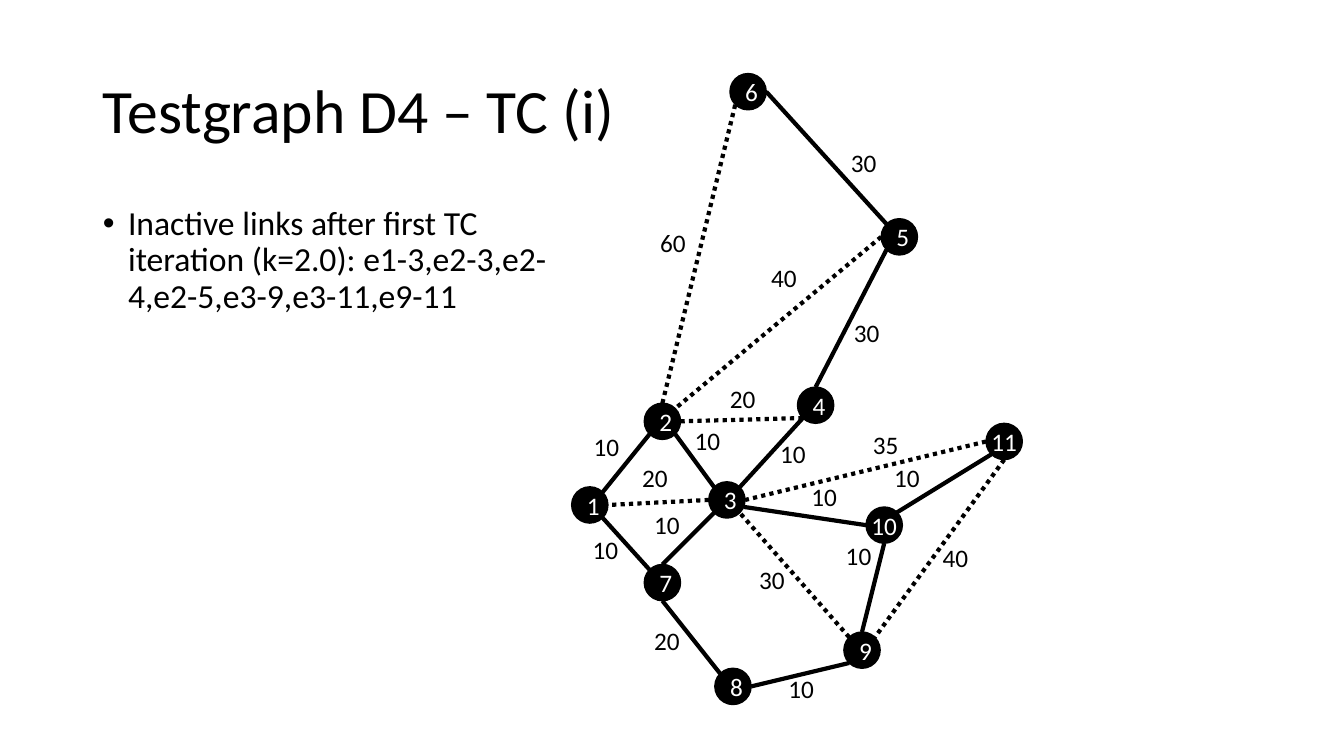
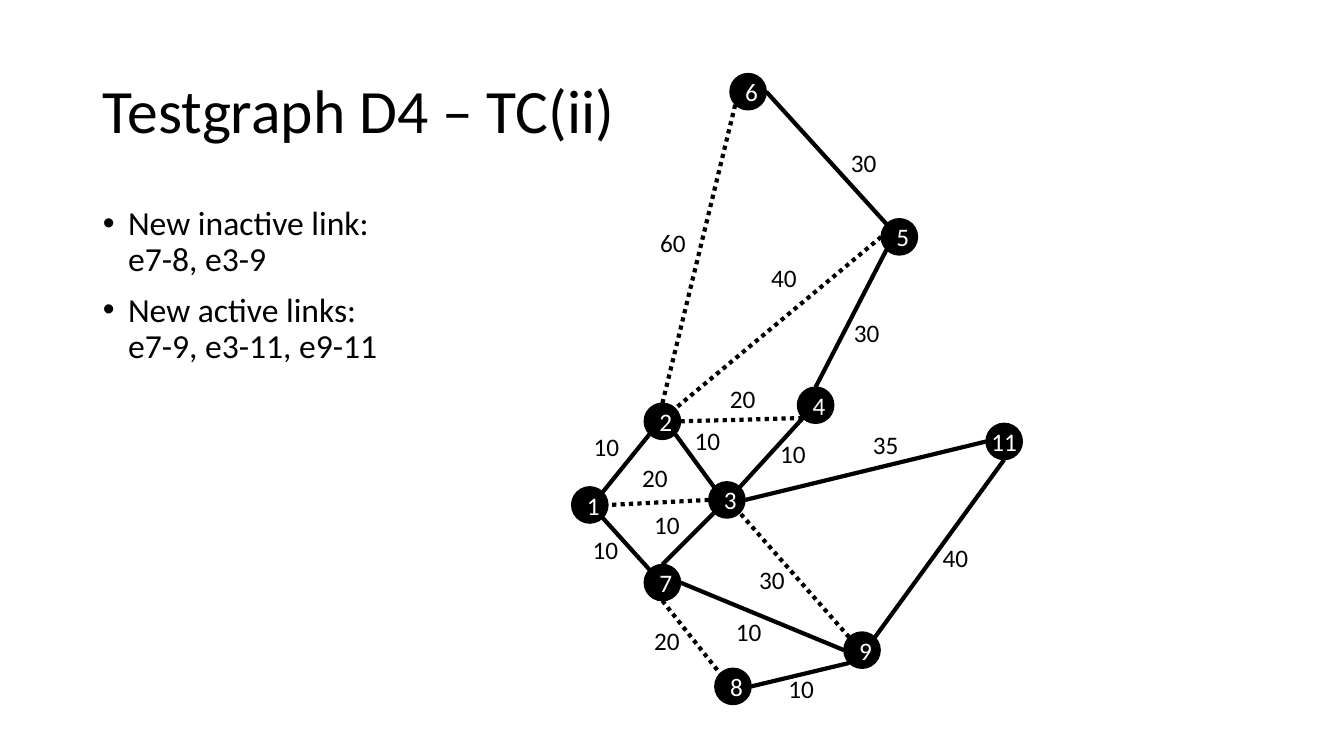
from math import cos, radians, sin

from lxml import etree
from pptx import Presentation
from pptx.dml.color import RGBColor
from pptx.enum.dml import MSO_LINE
from pptx.enum.shapes import MSO_CONNECTOR, MSO_SHAPE
from pptx.enum.text import MSO_ANCHOR, MSO_AUTO_SIZE, PP_ALIGN
from pptx.oxml.ns import qn
from pptx.util import Inches, Pt

BLACK, WHITE = "000000", "FFFFFF"
FONT = "Calibri"
DIAMETER = 0.36

ANGLES = {"E": 0, "ESE": 22.5, "SE": 45, "S": 90, "SW": 135,
          "W": 180, "NW": 225, "N": 270, "NE": 315}

NODES = {
    1: (5.67, 4.83), 2: (6.39, 4), 3: (7.03, 4.78), 7: (6.39, 5.6),
    4: (7.91, 3.84), 5: (8.74, 2.17), 6: (7.24, 0.73), 8: (7.09, 6.63),
    9: (8.37, 6.27), 10: (8.59, 5.03), 11: (9.78, 4.2),
}

# Each link: start node, side, end node, side, weight, weight position
SHARED_LINKS = [
    (1, "NE", 2, "SW", 10, (5.79, 4.23)),
    (2, "N", 6, "SW", 60, (6.45, 2.21)),
    (6, "E", 5, "NW", 30, (8.34, 1.41)),
    (5, "SW", 4, "N", 30, (8.37, 3.1)),
    (5, "W", 2, "NE", 40, (7.55, 2.55)),
    (2, "E", 4, "SW", 20, (7.14, 3.75)),
    (3, "NE", 4, "SW", 10, (7.64, 4.3)),
    (2, "SE", 3, "NW", 10, (6.79, 4.17)),
    (3, "W", 1, "E", 20, (6.27, 4.54)),
    (7, "NW", 1, "SE", 10, (5.78, 5.25)),
    (7, "N", 3, "SW", 10, (6.39, 5)),
    (7, "S", 8, "NW", 20, (6.39, 6.15)),
    (9, "SW", 8, "E", 10, (7.72, 6.63)),
    (9, "NW", 3, "SE", 30, (7.43, 5.55)),
    (11, "W", 3, "E", 35, (8.56, 4.21)),
    (11, "S", 9, "NE", 40, (9.25, 5.33)),
]
NODE_10_LINKS = [
    (11, "SW", 10, "NE", 10, (8.77, 4.54)),
    (10, "W", 3, "ESE", 10, (7.95, 4.73)),
    (10, "S", 9, "N", 10, (8.29, 5.31)),
]
LINK_7_9 = [(7, "E", 9, "W", 10, (7.2, 6.07))]
ALWAYS_INACTIVE = {(2, 6), (5, 2), (2, 4), (3, 1), (9, 3)}


def rgb(value):
    """Turn a hex string into a colour."""
    return RGBColor.from_string(value)


def add_run(paragraph, text, size, color=BLACK):
    """Append one formatted run."""
    run = paragraph.add_run()
    run.text = text
    run.font.name = FONT
    run.font.size = Pt(size)
    run.font.color.rgb = rgb(color)


def place(shape, left, top, width, height):
    """Move and size a shape, in inches."""
    shape.left, shape.top = Inches(left), Inches(top)
    shape.width, shape.height = Inches(width), Inches(height)


def write_title(slide, text):
    """Fill the title placeholder."""
    title = slide.shapes.title
    place(title, 0.92, 0.4, 11.5, 1.45)
    frame = title.text_frame
    frame.vertical_anchor = MSO_ANCHOR.MIDDLE
    paragraph = frame.paragraphs[0]
    paragraph.alignment = PP_ALIGN.LEFT
    paragraph.line_spacing = 0.9
    add_run(paragraph, text, 44)


def write_bullets(slide, bullets, width):
    """Fill the body placeholder; each bullet is a list of lines."""
    body = slide.placeholders[1]
    place(body, 0.92, 2, width, 4.76)
    frame = body.text_frame
    for index, lines in enumerate(bullets):
        paragraph = frame.add_paragraph() if index else frame.paragraphs[0]
        paragraph.line_spacing = 0.9
        paragraph.space_before = Pt(10)
        properties = paragraph._p.get_or_add_pPr()
        properties.set("marL", str(Inches(0.25)))
        properties.set("indent", str(Inches(-0.25)))
        for number, line in enumerate(lines):
            if number:
                paragraph.add_line_break()
            add_run(paragraph, line, 24)


def rim_point(node, side):
    """Return the point on a node's rim that faces the given side."""
    left, top = NODES[node]
    radius, angle = DIAMETER / 2, radians(ANGLES[side])
    return (Inches(left + radius + radius * cos(angle)),
            Inches(top + radius + radius * sin(angle)))


def add_link(shapes, start, end, active):
    """Draw a link, dotted when inactive."""
    link = shapes.add_connector(MSO_CONNECTOR.STRAIGHT, *start, *end)
    link.line.color.rgb = rgb(BLACK)
    link.line.width = Pt(3)
    if not active:
        link.line.dash_style = MSO_LINE.ROUND_DOT
    etree.SubElement(link._element.spPr, qn("a:effectLst"))


def add_node(shapes, number):
    """Draw a numbered node."""
    left, top = NODES[number]
    node = shapes.add_shape(MSO_SHAPE.OVAL, Inches(left), Inches(top),
                            Inches(DIAMETER), Inches(DIAMETER))
    node.shadow.inherit = False
    node.fill.solid()
    node.fill.fore_color.rgb = rgb(BLACK)
    node.line.color.rgb = rgb(BLACK)
    node.line.width = Pt(1)
    frame = node.text_frame
    frame.word_wrap = number < 10
    frame.vertical_anchor = MSO_ANCHOR.MIDDLE
    frame.paragraphs[0].alignment = PP_ALIGN.CENTER
    add_run(frame.paragraphs[0], str(number), 18, WHITE)


def add_weight(shapes, weight, position):
    """Write a link's weight beside it."""
    left, top = position
    label = shapes.add_textbox(Inches(left), Inches(top), Inches(0.46), Inches(0.4))
    frame = label.text_frame
    frame.word_wrap = False
    frame.auto_size = MSO_AUTO_SIZE.SHAPE_TO_FIT_TEXT
    add_run(frame.paragraphs[0], str(weight), 18)


def draw_graph(slide, links, inactive):
    """Draw links, nodes and weights as three groups."""
    link_shapes, node_shapes, weight_shapes = (
        slide.shapes.add_group_shape().shapes for _ in range(3))
    for start, start_side, end, end_side, weight, position in links:
        add_link(link_shapes, rim_point(start, start_side),
                 rim_point(end, end_side), (start, end) not in inactive)
        add_weight(weight_shapes, weight, position)
    linked = {node for link in links for node in (link[0], link[2])}
    for number in NODES:
        if number in linked:
            add_node(node_shapes, number)


def add_iteration(deck, title, bullets, body_width, extra_links, inactive):
    """Add the slide of one TC iteration."""
    slide = deck.slides.add_slide(deck.slide_layouts[1])
    write_title(slide, title)
    write_bullets(slide, bullets, body_width)
    draw_graph(slide, SHARED_LINKS + extra_links, ALWAYS_INACTIVE | inactive)


def main():
    """Build and save the deck."""
    deck = Presentation()
    deck.slide_width, deck.slide_height = Inches(13.33), Inches(7.5)
    add_iteration(
        deck, "Testgraph D4 – TC (i)",
        [["Inactive links after first TC iteration (k=2.0): "
          "e1-3,e2-3,e2-4,e2-5,e3-9,e3-11,e9-11"]],
        5.06, NODE_10_LINKS, {(11, 3), (11, 9)})
    add_iteration(
        deck, "Testgraph D4 – TC(ii)",
        [["New inactive link:", "e7-8, e3-9"],
         ["New active links:", "e7-9, e3-11, e9-11"]],
        4.71, LINK_7_9, {(7, 8)})
    deck.save("out.pptx")


main()
